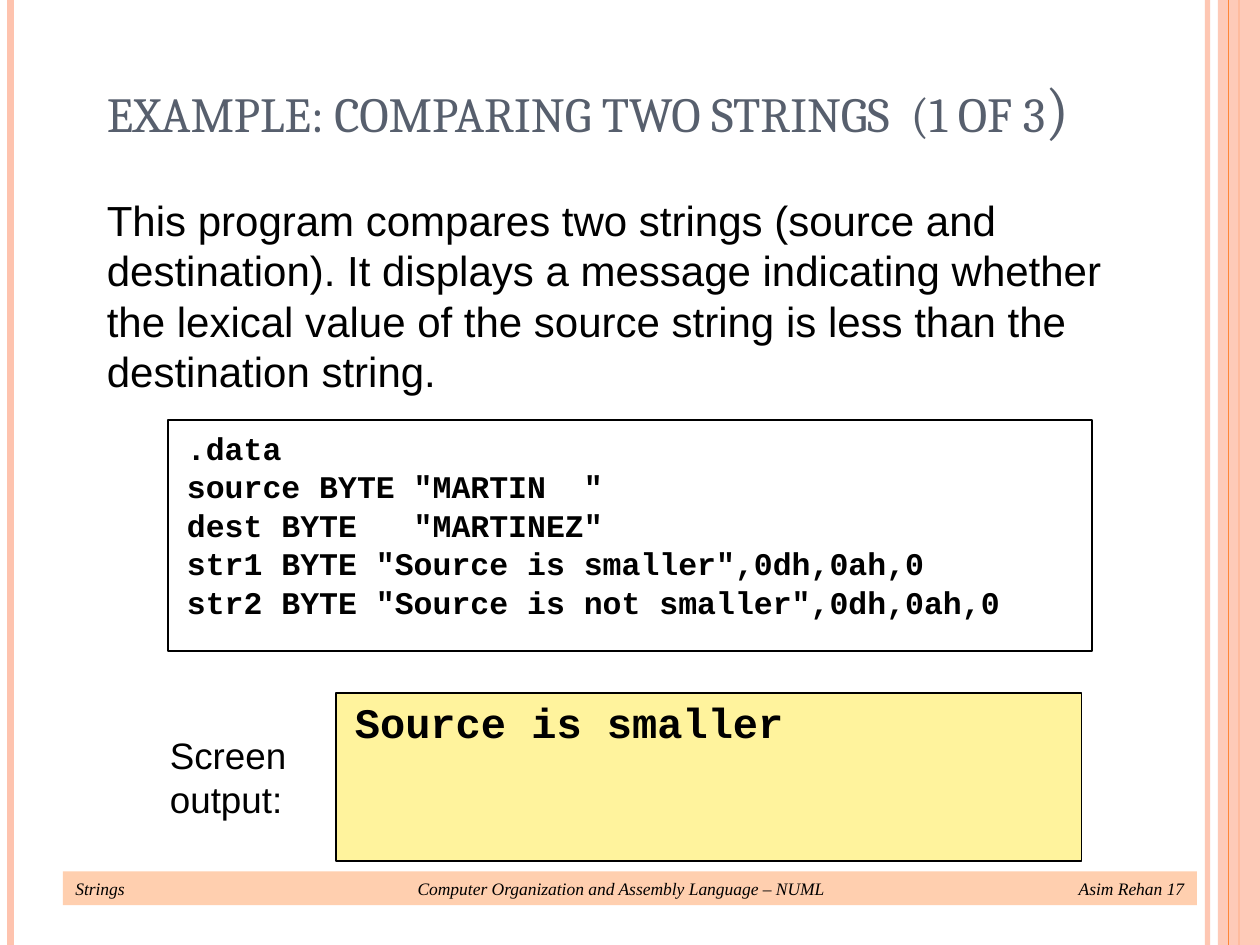
import lxml.etree
import pptx
import pptx.dml.color
import pptx.enum.shapes
import pptx.enum.text
import pptx.oxml.ns
import pptx.util

RGBColor = pptx.dml.color.RGBColor
Inches = pptx.util.Inches
Pt = pptx.util.Pt
qn = pptx.oxml.ns.qn

BLACK = RGBColor(0x00, 0x00, 0x00)
SLATE = RGBColor(0x57, 0x5F, 0x6D)
PINK = RGBColor(0xFE, 0xC3, 0xAE)
ORANGE = RGBColor(0xFE, 0x86, 0x37)
PEACH = RGBColor(0xFF, 0xCF, 0xAF)
YELLOW = RGBColor(0xFF, 0xF3, 0x9D)

COLUMNS, ROWS = 120, 90


class SlidePainter:
    """Draws the elements of one slide on a grid of 120 columns by 90 rows."""

    def __init__(self, presentation):
        self.column = presentation.slide_width / COLUMNS
        self.row = presentation.slide_height / ROWS
        self.shapes = presentation.slides.add_slide(presentation.slide_layouts[6]).shapes

    def place(self, column, row, width, height):
        return (round(column * self.column), round(row * self.row),
                round(width * self.column), round(height * self.row))

    def fade(self, fill, percent):
        color = fill._xPr.find(f"{qn('a:solidFill')}/{qn('a:srgbClr')}")
        lxml.etree.SubElement(color, qn("a:alpha"), val=str(percent * 1000))

    def stripe(self, column, color, weight, opacity=100):
        x = round(column * self.column)
        line = self.shapes.add_connector(
            pptx.enum.shapes.MSO_CONNECTOR.STRAIGHT, x, 0, x, round(ROWS * self.row))
        line.line.color.rgb = color
        line.line.width = Pt(weight)
        if opacity < 100:
            self.fade(line.line.fill, opacity)
        lxml.etree.SubElement(line._element.spPr, qn("a:effectLst"))

    def panel(self, area, fill=None, outline=None, opacity=100):
        panel = self.shapes.add_shape(
            pptx.enum.shapes.MSO_SHAPE.RECTANGLE, *self.place(*area))
        panel.shadow.inherit = False
        if fill is None:
            panel.fill.background()
        else:
            panel.fill.solid()
            panel.fill.fore_color.rgb = fill
            if opacity < 100:
                self.fade(panel.fill, opacity)
        if outline is None:
            panel.line.fill.background()
        else:
            panel.line.color.rgb = outline
            panel.line.width = Pt(0.75)
        return panel

    def label(self, area, paragraphs, **style):
        self.set_text(self.shapes.add_textbox(*self.place(*area)), paragraphs, **style)

    def set_text(self, shape, paragraphs, font, margins, color=BLACK, bold=False,
                 italic=False, anchor=pptx.enum.text.MSO_ANCHOR.TOP,
                 spacing=None, before=0, tabs=()):
        frame = shape.text_frame
        frame.word_wrap = True
        frame.vertical_anchor = anchor
        frame.margin_left = frame.margin_right = Inches(margins[0])
        frame.margin_top = frame.margin_bottom = Inches(margins[1])
        for index, runs in enumerate(paragraphs):
            paragraph = frame.add_paragraph() if index else frame.paragraphs[0]
            paragraph.alignment = pptx.enum.text.PP_ALIGN.LEFT
            if spacing:
                paragraph.line_spacing = spacing
            paragraph.space_before = Pt(before if index else 0)
            if tabs:
                stops = lxml.etree.SubElement(
                    paragraph._p.get_or_add_pPr(), qn("a:tabLst"))
                for position, side in tabs:
                    lxml.etree.SubElement(
                        stops, qn("a:tab"), pos=str(Inches(position)), algn=side)
            for text, size in runs:
                run = paragraph.add_run()
                run.text = text
                run.font.name = font
                run.font.size = Pt(size)
                run.font.color.rgb = color
                run.font.bold = bold
                run.font.italic = italic


def main():
    presentation = pptx.Presentation()
    presentation.slide_width, presentation.slide_height = Inches(10), Inches(7.5)
    painter = SlidePainter(presentation)

    painter.stripe(115, PINK, 3, opacity=93)
    painter.stripe(1, PINK, 4.5)
    painter.stripe(118, ORANGE, 1.5)
    painter.panel((116, 0, 4, ROWS), fill=PINK, opacity=87)
    painter.stripe(117, ORANGE, 0.75)

    footer = painter.panel((6, 83, 108, 3.2), fill=PEACH)
    footer_text = "Strings\tComputer Organization and Assembly Language – NUML\tAsim Rehan 17"
    painter.set_text(footer, [[(footer_text, 10)]], font="Times New Roman",
                     margins=(0.1, 0.05), italic=True, tabs=[(4.33, "ctr"), (8.8, "r")])

    painter.label((9, 3.4, 102.2, 11),
                  [[("EXAMPLE: COMPARING TWO STRINGS\t(1 OF 3", 28), (")", 36)]],
                  font="Cambria", margins=(0.1, 0.05), color=SLATE,
                  anchor=pptx.enum.text.MSO_ANCHOR.BOTTOM, tabs=[(6.38, "l")])

    code_style = dict(font="Courier New", margins=(0.15, 0.2), bold=True, spacing=0.5)
    code_lines = [
        '.data',
        'source BYTE "MARTIN  "',
        'dest BYTE   "MARTINEZ"',
        'str1 BYTE "Source is smaller",0dh,0ah,0',
        'str2 BYTE "Source is not smaller",0dh,0ah,0',
    ]
    listing = painter.panel((16, 40, 88, 22), outline=BLACK)
    painter.set_text(listing, [[(line, 18)] for line in code_lines], before=11.2, **code_style)

    prose_style = dict(font="Arial", margins=(0.1, 0.15))
    summary = ("This program compares two strings (source and destination). "
               "It displays a message indicating whether the lexical value of "
               "the source string is less than the destination string.")
    painter.label((9, 16.7, 101, 22.8), [[(summary, 24)]], **prose_style)

    screen = painter.panel((32, 66, 71, 16), fill=YELLOW, outline=BLACK)
    painter.set_text(screen, [[("Source is smaller", 24)]], **code_style)
    painter.label((15, 68, 21, 12), [[("Screen output:", 21)]], **prose_style)

    presentation.save("out.pptx")


if __name__ == "__main__":
    main()
